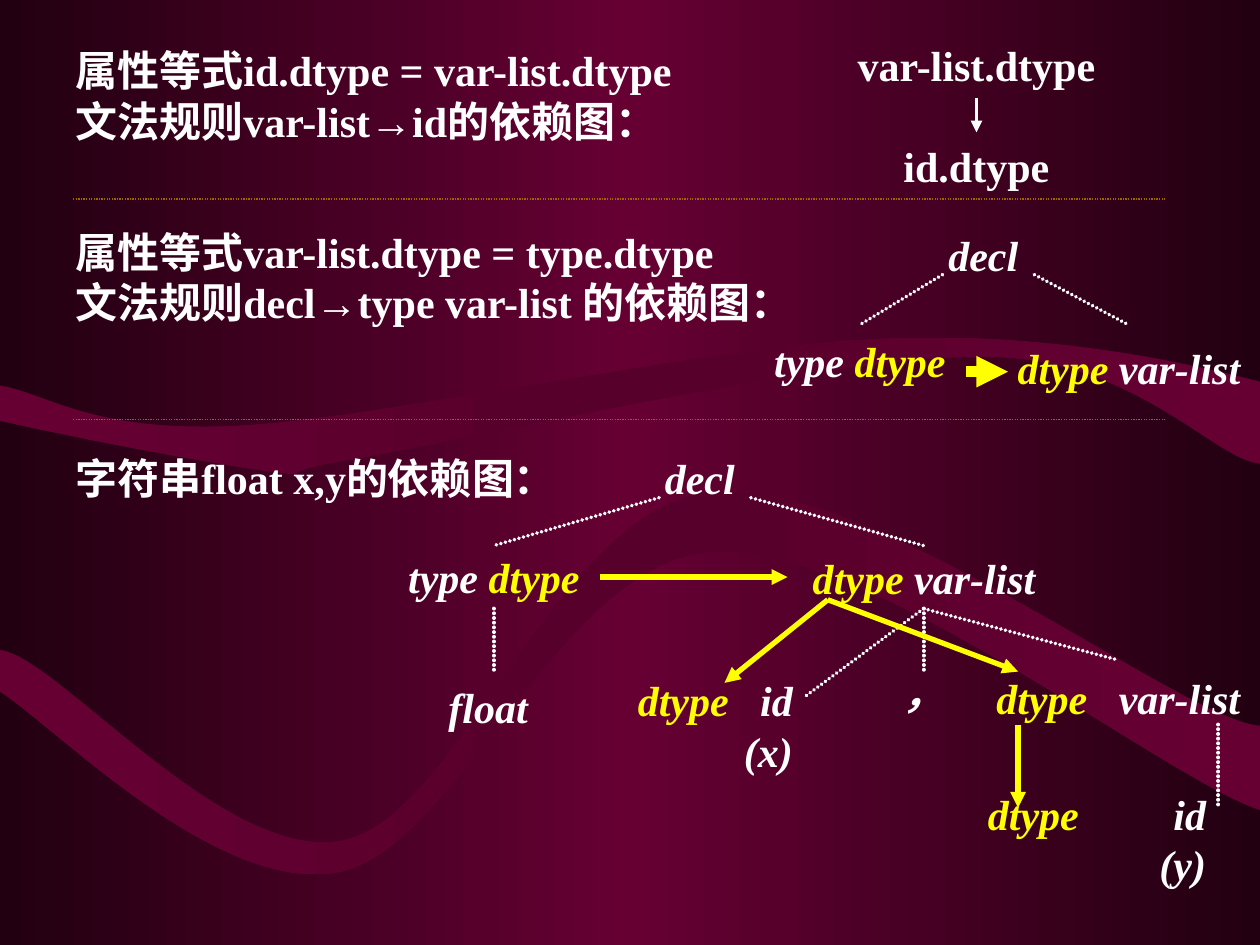
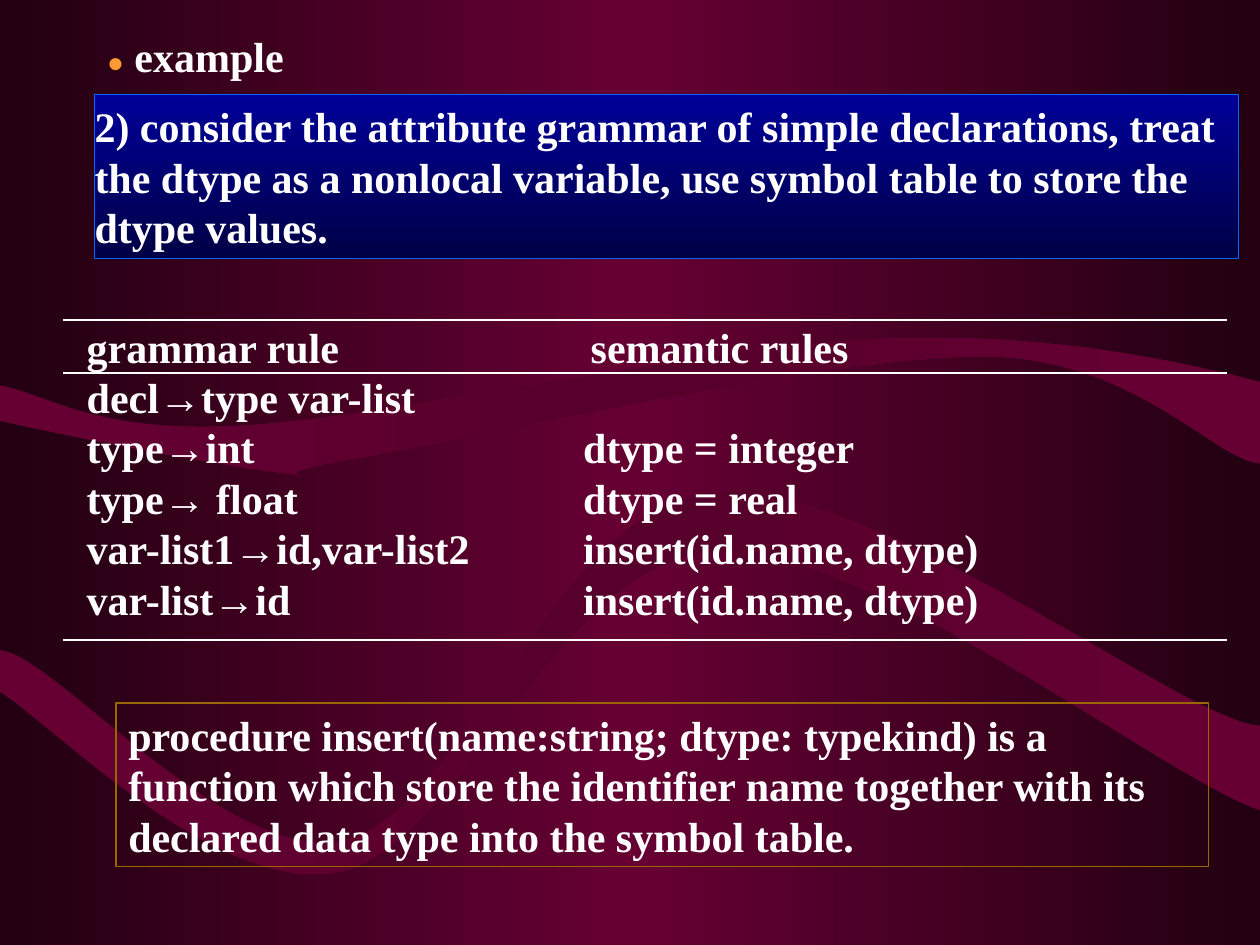
from dataclasses import dataclass

from lxml import etree
from pptx import Presentation
from pptx.dml.color import RGBColor
from pptx.enum import dml, shapes, text
from pptx.oxml import ns
from pptx.util import Inches, Pt


@dataclass(frozen=True)
class Theme:
    white: str = "FFFFFF"
    yellow: str = "FFFF00"
    orange: str = "FF9933"
    brown: str = "996600"
    blue: str = "0066FF"
    backdrop: tuple = ("220011", "660033", "220011")
    wave: tuple = ("660033", "56002B", "660033")
    panel: tuple = ("000099", "000046")
    font: str = "Times New Roman"
    arrow_font: str = "Arial"
    size: int = 24
    bullet_size: int = 16


THEME = Theme()
LEFT, CENTER, RIGHT = text.PP_ALIGN.LEFT, text.PP_ALIGN.CENTER, text.PP_ALIGN.RIGHT
MIDDLE, TOP = text.MSO_ANCHOR.MIDDLE, text.MSO_ANCHOR.TOP

# Each wave has two edges: a start point, then three points per cubic curve.
WAVES = [
    (
        [(0, 3.34), (0.37, 3.43), (1.75, 3.7), (2.22, 3.75), (2.69, 3.8), (1.9, 3.79), (2.82, 3.64),
         (3.75, 3.48), (6.6, 2.82), (7.8, 2.83), (9, 2.83), (9.63, 3.65), (10, 3.68)],
        [(10, 3.03), (9.5, 2.9), (8.36, 2.63), (7.01, 2.69), (5.66, 2.74), (3.07, 3.32), (1.9, 3.38),
         (0.73, 3.44), (0.4, 3.13), (0, 3.06)],
    ),
    (
        [(0, 5.49), (0.45, 5.78), (1.74, 7.11), (2.69, 6.92), (3.63, 6.74), (4.43, 4.46), (5.65, 4.38),
         (6.87, 4.29), (9.27, 6.2), (10, 6.43)],
        [(10, 5.76), (9.38, 5.72), (6.91, 3.77), (5.62, 3.91), (4.41, 4.06), (3.67, 6.46), (2.73, 6.67),
         (1.79, 6.87), (0.45, 5.2), (0, 5.16)],
    ),
]

# Slide 1: statements, tree nodes and the lines between them
STATEMENTS = [
    ((0.5, 0.25, 8.83, 1.01), ["属性等式id.dtype = var-list.dtype", "文法规则var-list→id的依赖图："]),
    ((0.5, 1.69, 8.83, 1.01), ["属性等式var-list.dtype = type.dtype", "文法规则decl→type var-list 的依赖图："]),
    ((0.5, 3.41, 8.83, 0.76), ["字符串float x,y的依赖图："]),
]
ATTRIBUTES = [
    ((6.67, 0.25, 2.16, 0.53), "var-list.dtype"),
    ((6.67, 1.05, 2.16, 0.53), "id.dtype"),
]
# Box, lines, alignment and extra points between the attribute and its symbol
NODES = [
    ((7.29, 1.79, 1.03, 0.46), ["decl"], CENTER, 0),
    ((6.31, 2.58, 1.03, 0.56), ["type dtype"], CENTER, 0),
    ((8, 2.58, 1.92, 0.67), ["dtype var-list"], CENTER, 0),
    ((5.04, 3.58, 1.03, 0.43), ["decl"], CENTER, 0),
    ((3.08, 4.33, 1.68, 0.5), ["type dtype"], CENTER, 0),
    ((6.25, 4.33, 2.17, 0.51), ["dtype var-list"], CENTER, 0),
    ((3.36, 5.35, 1.03, 0.51), ["float"], CENTER, 0),
    ((4.83, 5.42, 1.83, 0.67), ["dtype id", "(x)"], RIGHT, 12),
    ((6.83, 5.33, 1, 0.32), ["，"], CENTER, 0),
    ((7.75, 5.24, 2.25, 0.59), ["dtype var-list"], CENTER, 12),
    ((7.75, 6.3, 2.25, 0.71), ["dtype id", "(y)"], RIGHT, 48),
]
BRANCHES = [
    (8.21, 2.18, 8.96, 2.58), (7.48, 2.18, 6.82, 2.58),
    (5.23, 3.95, 3.92, 4.33), (5.96, 3.95, 7.33, 4.33),
    (3.92, 4.83, 3.92, 5.35), (7.33, 4.83, 6.4, 5.52),
    (7.33, 4.83, 7.33, 5.33), (7.33, 4.83, 8.88, 5.24),
    (9.67, 5.75, 9.67, 6.41),
]
DIVIDERS_Y = [1.58, 3.33]
ATTRIBUTE_ARROW = (7.75, 0.78, 7.75, 1.05)
SHORT_DEPENDENCY = (7.67, 2.95, 8, 2.95)
DEPENDENCIES = [
    (4.76, 4.58, 6.25, 4.58), (6.57, 4.76, 5.75, 5.42),
    (6.57, 4.76, 8.08, 5.33), (8.08, 5.75, 8.08, 6.41),
]

# Slide 2
HEADING = "example"
TASK = ("2) consider the attribute grammar of simple declarations, treat the dtype as a nonlocal "
        "variable, use symbol table to store the dtype values.")
GRAMMAR = [
    "grammar rule\tsemantic rules",
    "decl→type var-list",
    "type→int\tdtype = integer",
    "type→ float\tdtype = real",
    "var-list1→id,var-list2\tinsert(id.name, dtype)",
    "var-list→id\tinsert(id.name, dtype)",
]
HEADER_TAB, RULE_TAB = 4, 3.94
RULES_Y = [2.54, 2.96, 5.08]
PROCEDURE = ("procedure insert(name:string; dtype: typekind) is a function which store the identifier "
             "name together with its declared data type into the symbol table.")


def rgb(value):
    return RGBColor.from_string(value)


def inches(values):
    return [Inches(value) for value in values]


def set_gradient(fill, owner, colours, angle=0):
    """Spread any number of colours evenly over the fill of the owner element."""
    fill.gradient()
    fill.gradient_angle = angle
    stops = owner.find(".//" + ns.qn("a:gsLst"))
    for stop in list(stops):
        stops.remove(stop)
    for index, colour in enumerate(colours):
        position = round(index * 100000 / (len(colours) - 1))
        stop = etree.SubElement(stops, ns.qn("a:gs"), pos=str(position))
        etree.SubElement(stop, ns.qn("a:srgbClr"), val=colour)


def add_run(paragraph, words, colour, font=THEME.font):
    run = paragraph.add_run()
    run.text = words
    run.font.name = font
    run.font.color.rgb = rgb(colour)
    return run


def write(paragraph, line, align=LEFT, italic=False, mark="→", colour=None, gap=0):
    """Write a line whose marked part has its own colour, or else the arrow font."""
    paragraph.alignment = align
    font = paragraph.font
    font.size, font.bold, font.italic = Pt(THEME.size), True, italic
    before, marked, after = line.partition(mark)
    if before:
        add_run(paragraph, before, THEME.white)
    if marked:
        add_run(paragraph, marked, colour or THEME.white, THEME.font if colour else THEME.arrow_font)
    if gap and after:
        space = add_run(paragraph, " ", THEME.white)
        space.font._element.set("spc", str(gap * 100))
        after = after.lstrip()
    if after:
        add_run(paragraph, after, THEME.white)


def write_lines(frame, lines, anchor=MIDDLE, wrap=True, **style):
    frame.word_wrap = wrap
    frame.vertical_anchor = anchor
    for index, line in enumerate(lines):
        paragraph = frame.add_paragraph() if index else frame.paragraphs[0]
        write(paragraph, line, **style)


def add_plain_shape(slide, preset, box):
    shape = slide.shapes.add_shape(preset, *inches(box))
    shape.shadow.inherit = False
    shape.fill.background()
    shape.line.fill.background()
    return shape


def add_node(slide, box, lines, **style):
    node = add_plain_shape(slide, shapes.MSO_SHAPE.OVAL, box)
    write_lines(node.text_frame, lines, wrap=False, **style)


def add_panel(slide, box, line, border):
    panel = add_plain_shape(slide, shapes.MSO_SHAPE.RECTANGLE, box)
    panel.line.color.rgb = rgb(border)
    panel.line.width = Pt(0.75)
    write_lines(panel.text_frame, [line], anchor=TOP)
    return panel


def add_line(slide, ends, colour, width, dotted=False, beaded=False, arrow=False):
    connector = slide.shapes.add_connector(shapes.MSO_CONNECTOR.STRAIGHT, *inches(ends))
    connector.line.color.rgb = rgb(colour)
    connector.line.width = Pt(width)
    if dotted:
        connector.line.dash_style = dml.MSO_LINE.ROUND_DOT
    properties = connector._element.spPr
    outline = properties.find(ns.qn("a:ln"))
    if beaded:
        outline.set("cap", "rnd")
        dashes = etree.SubElement(outline, ns.qn("a:custDash"))
        etree.SubElement(dashes, ns.qn("a:ds"), d="100000", sp="20000")
    if arrow:
        etree.SubElement(outline, ns.qn("a:tailEnd"), type="triangle")
    etree.SubElement(properties, ns.qn("a:effectLst"))


def curve(segments):
    """Turn every three straight segments into one cubic curve."""
    for first, *others in zip(*[iter(segments)] * 3):
        cubic = etree.Element(ns.qn("a:cubicBezTo"))
        first.addprevious(cubic)
        for segment in (first, *others):
            cubic.append(segment[0])
            segment.getparent().remove(segment)


def add_wave(slide, lower, upper):
    start, *rest = [inches(point) for point in lower + upper]
    builder = slide.shapes.build_freeform(*start, scale=1.0)
    builder.add_line_segments(rest, close=True)
    wave = builder.convert_to_shape()
    segments = list(wave._element.iter(ns.qn("a:lnTo")))
    curve(segments[:len(lower) - 1])
    curve(segments[len(lower):])
    wave.shadow.inherit = False
    wave.line.fill.background()
    set_gradient(wave.fill, wave._element, THEME.wave)
    return wave


def decorate_master(master, slide):
    """Give the master its backdrop and waves; waves are built on a slide, then moved."""
    set_gradient(master.background.fill, master.element, THEME.backdrop)
    for depth, edges in enumerate(WAVES):
        master.shapes._spTree.insert(2 + depth, add_wave(slide, *edges)._element)


def build_dependency_slide(slide):
    for box, lines in STATEMENTS:
        write_lines(slide.shapes.add_textbox(*inches(box)).text_frame, lines)
    for y in DIVIDERS_Y:
        add_line(slide, (0.58, y, 9.25, y), THEME.brown, 0.75, dotted=True)
    for box, attribute in ATTRIBUTES:
        add_node(slide, box, [attribute], align=CENTER)
    for box, lines, align, gap in NODES:
        add_node(slide, box, lines, align=align, italic=True, mark="dtype", colour=THEME.yellow, gap=gap)
    for ends in BRANCHES:
        add_line(slide, ends, THEME.white, 2.25, beaded=True)
    add_line(slide, ATTRIBUTE_ARROW, THEME.white, 2.25, arrow=True)
    add_line(slide, SHORT_DEPENDENCY, THEME.yellow, 6, arrow=True)
    for ends in DEPENDENCIES:
        add_line(slide, ends, THEME.yellow, 3, arrow=True)


def add_heading(slide):
    title = slide.shapes.title
    title.left, title.top, title.width, title.height = inches((0.75, 0.17, 8.5, 0.42))
    frame = title.text_frame
    frame.auto_size = text.MSO_AUTO_SIZE.NONE
    write_lines(frame, ["● " + HEADING], mark="●", colour=THEME.orange)
    frame.paragraphs[0].line_spacing = 1.3
    frame.paragraphs[0].runs[0].font.size = Pt(THEME.bullet_size)


def add_grammar(slide):
    frame = slide.shapes.add_textbox(*inches((0.59, 2.5, 9.33, 2.9))).text_frame
    frame.word_wrap = True
    for index, line in enumerate(GRAMMAR):
        paragraph = frame.add_paragraph() if index else frame.paragraphs[0]
        tabs = etree.SubElement(paragraph._p.get_or_add_pPr(), ns.qn("a:tabLst"))
        position = Inches(RULE_TAB if index else HEADER_TAB)
        etree.SubElement(tabs, ns.qn("a:tab"), pos=str(position), algn="l")
        write(paragraph, line)
    for y in RULES_Y:
        add_line(slide, (0.5, y, 9.74, y), THEME.white, 0.75)


def build_example_slide(slide):
    task = add_panel(slide, (0.75, 0.75, 9.08, 1.3), TASK, THEME.blue)
    task.text_frame.margin_left = 0
    set_gradient(task.fill, task._element, THEME.panel, angle=270)
    add_heading(slide)
    add_grammar(slide)
    add_panel(slide, (0.92, 5.58, 8.67, 1.3), PROCEDURE, THEME.brown)


def main():
    deck = Presentation()
    deck.slide_width, deck.slide_height = Inches(10), Inches(7.5)
    title_only, blank = deck.slide_layouts[5], deck.slide_layouts[6]
    dependencies = deck.slides.add_slide(blank)
    decorate_master(deck.slide_master, dependencies)
    build_dependency_slide(dependencies)
    build_example_slide(deck.slides.add_slide(title_only))
    deck.save("out.pptx")


if __name__ == "__main__":
    main()
